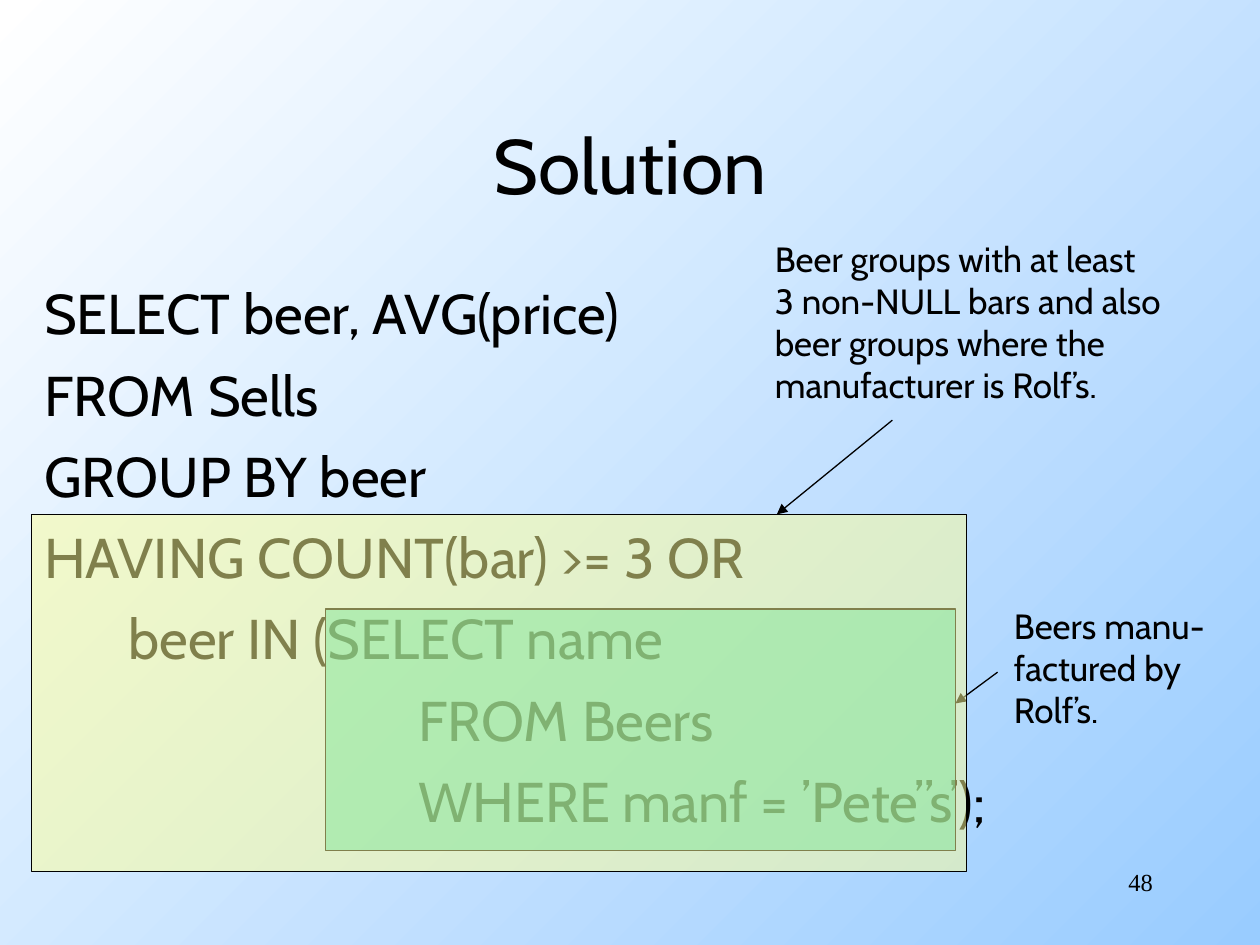
from lxml import etree
from pptx import Presentation
from pptx.dml.color import RGBColor
from pptx.enum.shapes import MSO_CONNECTOR, MSO_SHAPE
from pptx.enum.text import MSO_ANCHOR, PP_ALIGN
from pptx.oxml.ns import qn
from pptx.util import Cm, Pt

STRAIGHT, RECT = MSO_CONNECTOR.STRAIGHT, MSO_SHAPE.RECTANGLE
TOP, MIDDLE = MSO_ANCHOR.TOP, MSO_ANCHOR.MIDDLE
LEFT, CENTER, RIGHT = PP_ALIGN.LEFT, PP_ALIGN.CENTER, PP_ALIGN.RIGHT

BLACK = RGBColor(0x00, 0x00, 0x00)
WHITE = RGBColor(0xFF, 0xFF, 0xFF)
SKY = RGBColor(0x99, 0xCC, 0xFF)
GREEN = RGBColor(0x00, 0xCC, 0x99)
YELLOW = RGBColor(0xFF, 0xFF, 0x99)
SANS, SERIF = "Cabin", "Times New Roman"

TITLE = "Solution"
PAGE = "48"
QUERY = [
    (0, "SELECT beer, AVG(price)"),
    (0, "FROM Sells"),
    (0, "GROUP BY beer"),
    (0, "HAVING COUNT(bar) >= 3 OR"),
    (1.7, "beer IN (SELECT name"),
    (7.54, "FROM Beers"),
    (7.54, "WHERE manf = ’Pete’’s’);"),
]
CALLOUTS = [
    {
        "area": (6.56, 12.28, 12.7, 4.87),
        "fill": GREEN,
        "note": (20.19, 12.06, 4.72, 2.8),
        "lines": ["Beers manu-", "factured by", "Rolf’s."],
        "arrow": (20.11, 13.55, 19.26, 14.18),
    },
    {
        "area": (0.64, 10.37, 18.84, 7.2),
        "fill": YELLOW,
        "note": (15.37, 4.66, 9.04, 3.66),
        "lines": ["Beer groups with at least", "3 non-NULL bars and also",
                  "beer groups where the", "manufacturer is Rolf’s."],
        "arrow": (17.99, 8.47, 15.66, 10.37),
    },
]


def write(shape, lines, size, font=SANS, align=LEFT, anchor=TOP, gap=0):
    """Fill a shape with (indent, text) lines."""
    tf = shape.text_frame
    tf.word_wrap = True
    tf.vertical_anchor = anchor
    for i, (indent, text) in enumerate(lines):
        p = tf.add_paragraph() if i else tf.paragraphs[0]
        p.alignment = align
        p.space_before = Pt(gap if i else 0)
        if indent:
            p._p.get_or_add_pPr().set("marL", str(Cm(indent)))
        r = p.add_run()
        r.text = text
        r.font.name, r.font.size = font, Pt(size)
        r.font.color.rgb = BLACK


def add_text(s, box, *args, **kwargs):
    """Add a text box at a place given in centimetres."""
    write(s.shapes.add_textbox(*map(Cm, box)), *args, **kwargs)


def add_area(s, box, color):
    """Add a half-transparent outlined rectangle."""
    sp = s.shapes.add_shape(RECT, *map(Cm, box))
    sp.shadow.inherit = False
    sp.fill.solid()
    sp.fill.fore_color.rgb = color
    clr = sp._element.spPr.find(qn("a:solidFill")).find(qn("a:srgbClr"))
    etree.SubElement(clr, qn("a:alpha"), val="50000")
    sp.line.color.rgb = BLACK
    sp.line.width = Pt(0.75)


def add_arrow(s, ends):
    """Add a thin arrow between two points."""
    c = s.shapes.add_connector(STRAIGHT, *map(Cm, ends))
    c.line.color.rgb = BLACK
    c.line.width = Pt(0.75)
    etree.SubElement(c.line._get_or_add_ln(), qn("a:tailEnd"), type="triangle")
    etree.SubElement(c._element.spPr, qn("a:effectLst"))


def main():
    """Build the slide."""
    prs = Presentation()
    prs.slide_width, prs.slide_height = Cm(25.4), Cm(19.05)
    s = prs.slides.add_slide(prs.slide_layouts[5])

    fill = s.background.fill
    fill.gradient()
    fill.gradient_angle = 315
    for stop, color in zip(fill.gradient_stops, (WHITE, SKY)):
        stop.color.rgb = color

    title = s.shapes.title
    title.left, title.top, title.width, title.height = map(Cm, (1.9, 1.7, 21.6, 3.18))
    write(title, [(0, TITLE)], 44, align=CENTER, anchor=MIDDLE)
    add_text(s, (18.2, 17.36, 5.29, 1.27), [(0, PAGE)], 14, font=SERIF, align=RIGHT)
    add_text(s, (0.64, 5.5, 22.86, 11.43), QUERY, 32, gap=8)

    for callout in CALLOUTS:
        add_area(s, callout["area"], callout["fill"])
        add_text(s, callout["note"], [(0, line) for line in callout["lines"]], 20)
        add_arrow(s, callout["arrow"])

    prs.save("out.pptx")


if __name__ == "__main__":
    main()
